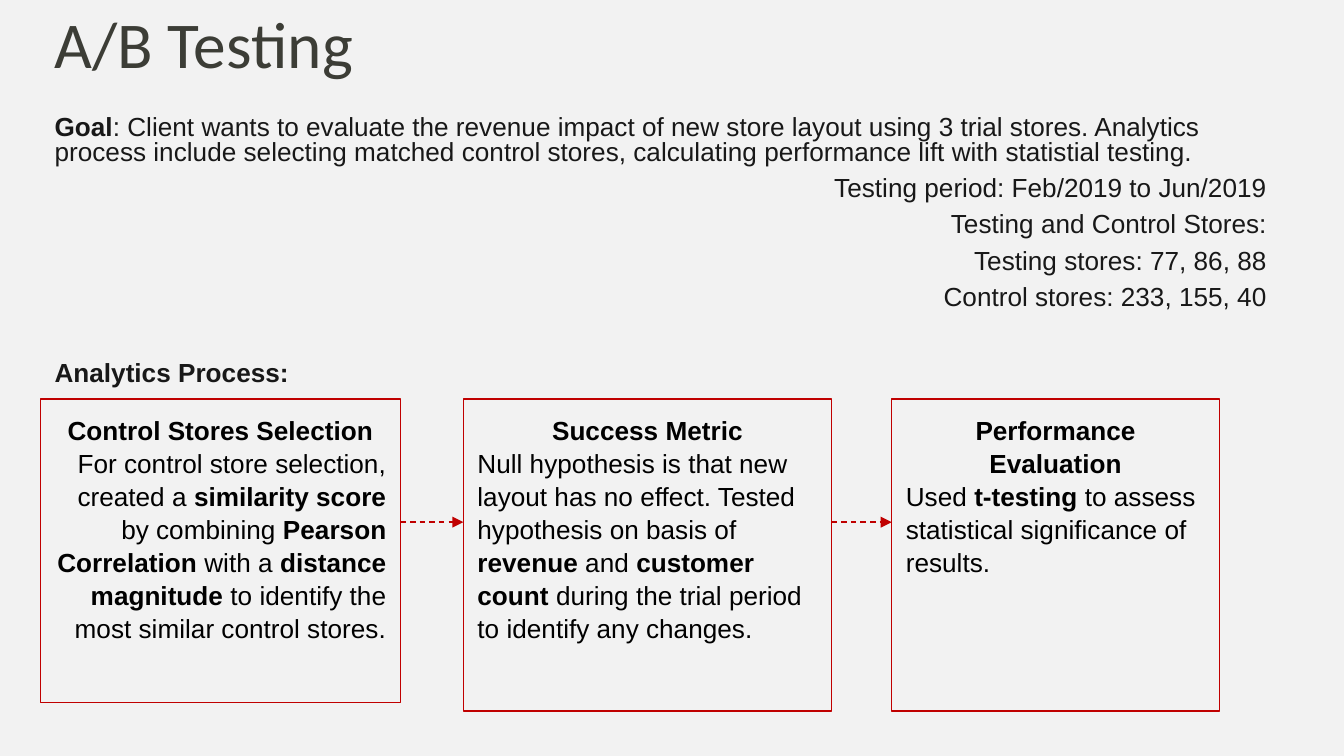
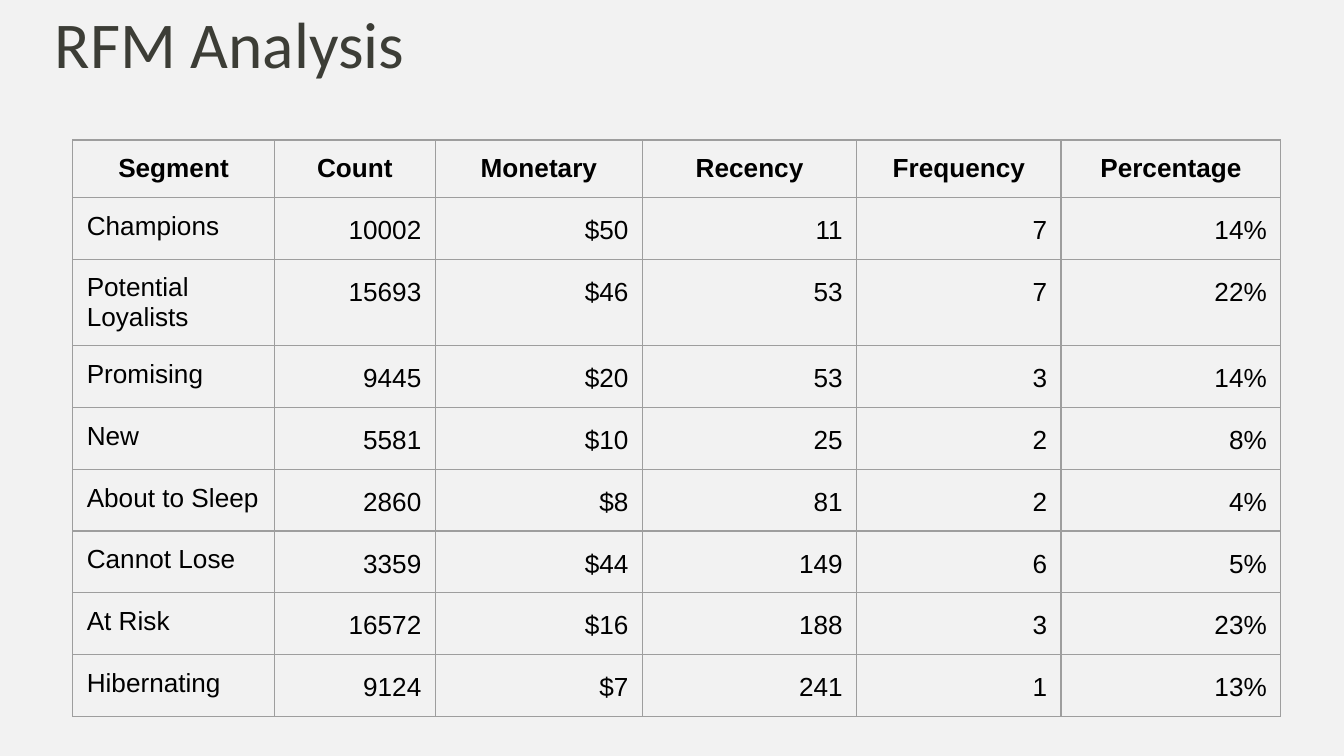
"""Build two slides on A/B testing and RFM analysis."""
from lxml import etree
from pptx import Presentation
from pptx import util as u
from pptx.dml.color import RGBColor
from pptx.enum import dml, shapes, text
from pptx.oxml import ns

PX = 9525
INSET = 10 * PX
COLORS = {
    "background": "F2F2F2",
    "title": "3C3D36",
    "body": "181818",
    "black": "000000",
    "accent": "C00000",
    "grid": "9E9E9E",
}
LEFT, CENTER, RIGHT = text.PP_ALIGN.LEFT, text.PP_ALIGN.CENTER, text.PP_ALIGN.RIGHT


def write(frame, content, size=14, font="Arial", color="black", align=LEFT,
          spacing=1.0, after=0, level=0, margin=0, hanging=0):
    """Add one paragraph to a frame; parts between ** marks are bold."""
    frame.word_wrap = True
    frame.auto_size = text.MSO_AUTO_SIZE.NONE
    frame.vertical_anchor = text.MSO_ANCHOR.TOP
    frame.margin_left = frame.margin_right = INSET
    frame.margin_top = frame.margin_bottom = INSET
    first = frame.paragraphs[0]
    paragraph = frame.add_paragraph() if first.runs else first
    paragraph.alignment = align
    paragraph.level = level
    paragraph.line_spacing = spacing
    paragraph.space_before = u.Pt(0)
    paragraph.space_after = u.Pt(after)
    properties = paragraph._p.get_or_add_pPr()
    properties.set("marL", str(margin * PX))
    properties.set("indent", str(-hanging * PX))
    etree.SubElement(properties, ns.qn("a:buNone"))
    for index, part in enumerate(content.split("**")):
        if part:
            run = paragraph.add_run()
            run.text = part
            run.font.size = u.Pt(size)
            run.font.name = font
            run.font.bold = index % 2 == 1
            run.font.color.rgb = RGBColor.from_string(COLORS[color])


def place(shape, left, top, width, height):
    """Move and size a shape in px."""
    shape.left, shape.top = left * PX, top * PX
    shape.width, shape.height = width * PX, height * PX


presentation = Presentation()
presentation.slide_width, presentation.slide_height = 960 * PX, 540 * PX
background = presentation.slide_master.background.fill
background.solid()
background.fore_color.rgb = RGBColor.from_string(COLORS["background"])

slides = []
for title, layout in (("A/B Testing", 1), ("RFM Analysis", 5)):
    slide = presentation.slides.add_slide(presentation.slide_layouts[layout])
    place(slide.shapes.title, 29, 10, 461, 54)
    write(slide.shapes.title.text_frame, title, size=35, font="Calibri",
          color="title", spacing=0.65)
    slides.append(slide)
testing_slide, rfm_slide = slides

body_format = {"color": "body", "spacing": 0.8, "after": 6}
goal = testing_slide.placeholders[1]
place(goal, 29, 73, 886, 124)
write(goal.text_frame,
      "**Goal**: Client wants to evaluate the revenue impact of new store layout using "
      "3 trial stores. Analytics process include selecting matched control stores, "
      "calculating performance lift with statistial testing.", **body_format)
for level, line in (
    (0, "Testing period: Feb/2019 to Jun/2019"),
    (0, "Testing and Control Stores:"),
    (1, "Testing stores: 77, 86, 88"),
    (1, "Control stores: 233, 155, 40"),
):
    write(goal.text_frame, line, align=RIGHT, level=level,
          margin=30 + 48 * level, hanging=30, **body_format)

steps = [
    (29, 257, 217, RIGHT, "Control Stores Selection",
     "For control store selection, created a **similarity score **by combining "
     "**Pearson Correlation **with a **distance magnitude** to identify the most "
     "similar control stores."),
    (331, 263, 223, LEFT, "Success Metric",
     "Null hypothesis is that new layout has no effect. Tested hypothesis on basis of "
     "**revenue** and **customer count **during the trial period to identify any changes."),
    (637, 234, 223, LEFT, "Performance Evaluation",
     "Used **t-testing** to assess statistical significance of results."),
]
for left, width, height, align, heading, description in steps:
    box = testing_slide.shapes.add_shape(
        shapes.MSO_SHAPE.RECTANGLE, left * PX, 285 * PX, width * PX, height * PX)
    box.shadow.inherit = False
    box.fill.background()
    box.line.color.rgb = RGBColor.from_string(COLORS["accent"])
    box.line.width = u.Pt(0.75)
    write(box.text_frame, f"**{heading}**", align=CENTER, spacing=1.05)
    write(box.text_frame, description, align=align, spacing=1.05)

process = testing_slide.shapes.add_textbox(29 * PX, 249 * PX, 886 * PX, 42 * PX)
write(process.text_frame, "**Analytics Process:**", **body_format)

for step, following in zip(steps, steps[1:]):
    start, end = step[0] + step[1], following[0]
    arrow = testing_slide.shapes.add_connector(
        shapes.MSO_CONNECTOR.STRAIGHT, start * PX, 373 * PX, end * PX, 373 * PX)
    arrow.line.color.rgb = RGBColor.from_string(COLORS["accent"])
    arrow.line.width = u.Pt(0.75)
    arrow.line.dash_style = dml.MSO_LINE.DASH
    etree.SubElement(arrow.line._get_or_add_ln(), ns.qn("a:tailEnd"), type="triangle")
    etree.SubElement(arrow._element.spPr, ns.qn("a:effectLst"))

segments = [
    ("Segment", "Count", "Monetary", "Recency", "Frequency", "Percentage"),
    ("Champions", "10002", "$50", "11", "7", "14%"),
    ("Potential Loyalists", "15693", "$46", "53", "7", "22%"),
    ("Promising", "9445", "$20", "53", "3", "14%"),
    ("New", "5581", "$10", "25", "2", "8%"),
    ("About to Sleep", "2860", "$8", "81", "2", "4%"),
    ("Cannot Lose", "3359", "$44", "149", "6", "5%"),
    ("At Risk", "16572", "$16", "188", "3", "23%"),
    ("Hibernating", "9124", "$7", "241", "1", "13%"),
]
widths = (144, 115, 148, 153, 146, 157)
table = rfm_slide.shapes.add_table(
    len(segments), len(widths), 52 * PX, 100 * PX,
    sum(widths) * PX, 40 * len(segments) * PX).table
table.first_row = table.horz_banding = False
for column, width in zip(table.columns, widths):
    column.width = width * PX
for row_index, values in enumerate(segments):
    for column_index, value in enumerate(values):
        cell = table.cell(row_index, column_index)
        if row_index == 0:
            write(cell.text_frame, f"**{value}**", align=CENTER)
        elif column_index == 0:
            write(cell.text_frame, value)
        else:
            write(cell.text_frame, value, align=RIGHT, spacing=1.15)
        cell.margin_left = cell.margin_right = INSET
        cell.margin_top = cell.margin_bottom = INSET
        properties = cell._tc.get_or_add_tcPr()
        for side in ("lnL", "lnR", "lnT", "lnB"):
            border = etree.SubElement(properties, ns.qn(f"a:{side}"), w=str(u.Pt(0.75)))
            fill = etree.SubElement(border, ns.qn("a:solidFill"))
            etree.SubElement(fill, ns.qn("a:srgbClr"), val=COLORS["grid"])
        cell.fill.background()

presentation.save("out.pptx")
